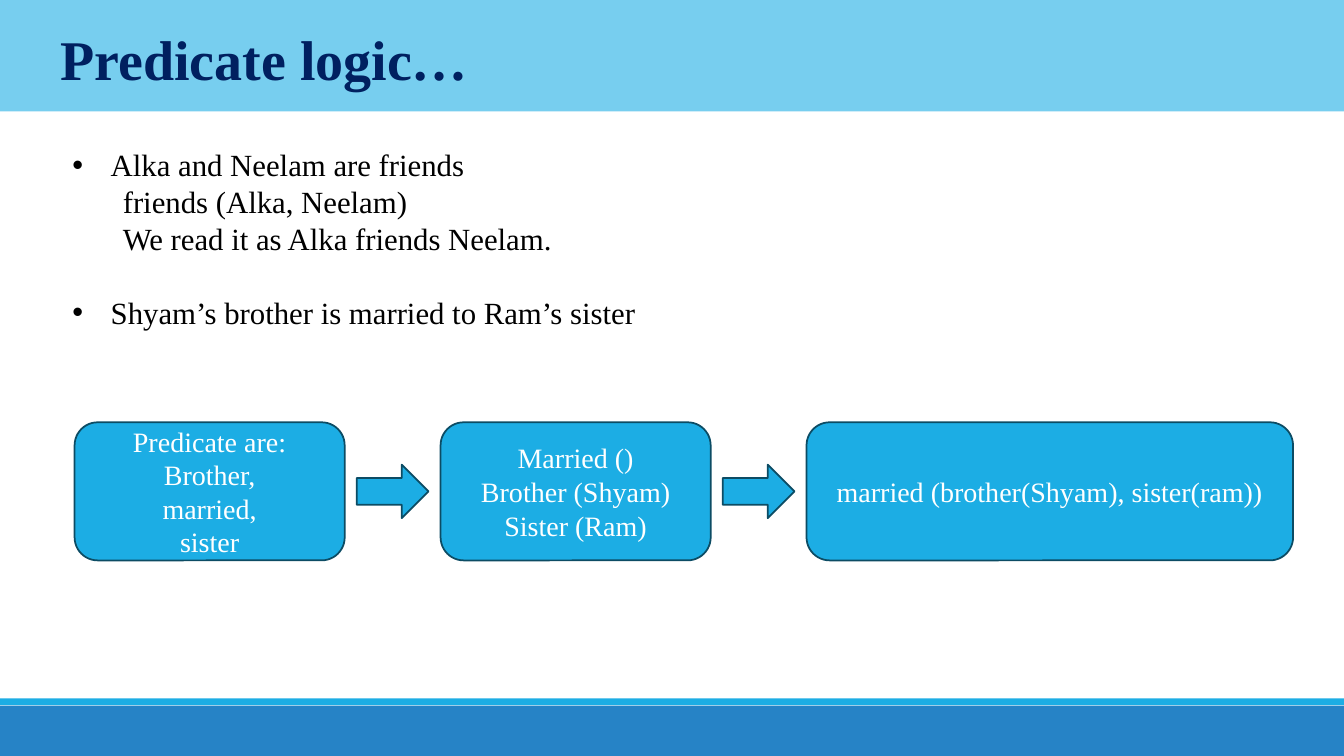
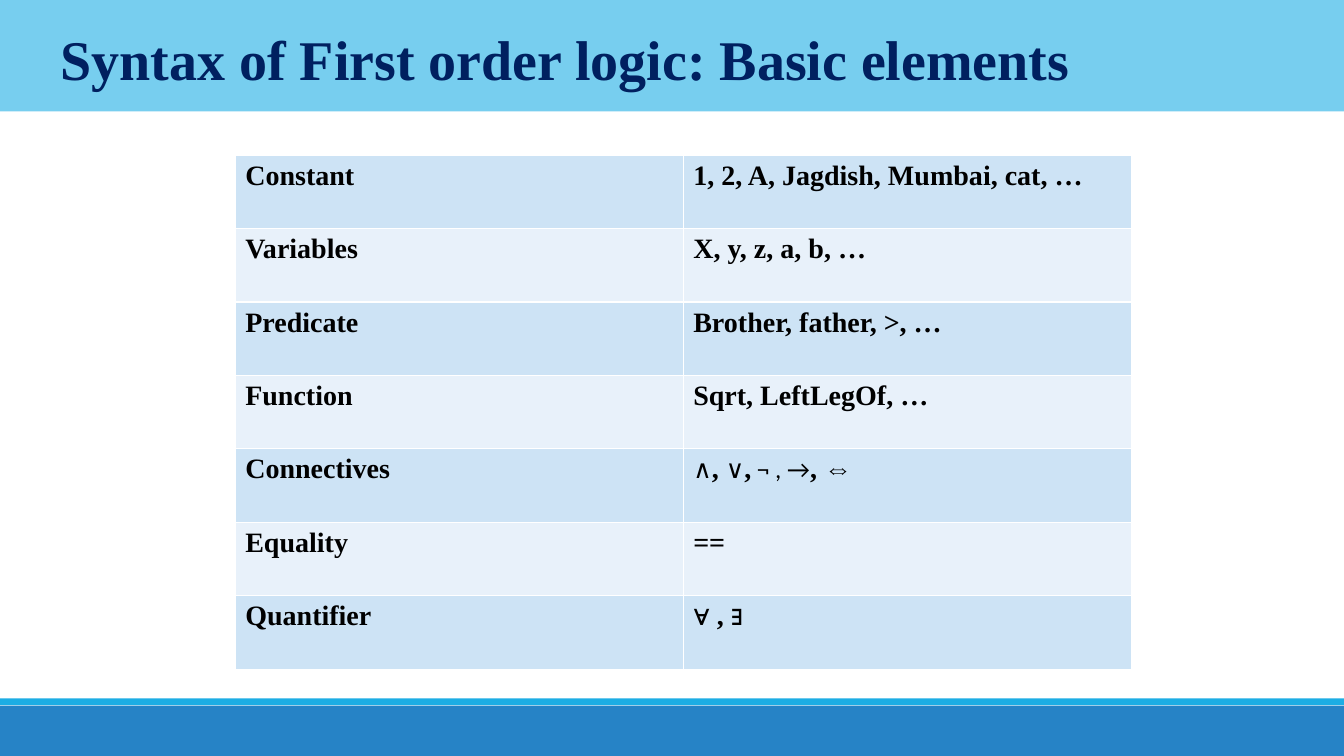
"""Build two slides on predicate logic and the syntax of first order logic."""
from lxml.etree import SubElement
from pptx import Presentation
from pptx.dml.color import RGBColor
from pptx.enum.shapes import MSO_SHAPE
from pptx.enum.text import MSO_ANCHOR, MSO_AUTO_SIZE, PP_ALIGN
from pptx.oxml.ns import qn
from pptx.util import Emu, Inches, Pt

NAVY = RGBColor(0x00, 0x20, 0x60)
SKY = RGBColor(0x77, 0xCE, 0xEF)
CYAN = RGBColor(0x1C, 0xAD, 0xE4)
BLUE = RGBColor(0x26, 0x83, 0xC6)
EDGE = RGBColor(0x0C, 0x4C, 0x64)
DARK = RGBColor(0xCD, 0xE3, 0xF5)
PALE = RGBColor(0xE8, 0xF1, 0xFA)
BLACK = RGBColor(0x00, 0x00, 0x00)
WHITE = RGBColor(0xFF, 0xFF, 0xFF)

SERIF = "Times New Roman"
SANS = "Calibri"


class Deck:
    """Hold the style and the current slide; lengths are percent of its size."""

    def __init__(self):
        self.prs = Presentation()
        self.prs.slide_width = Inches(13.33)
        self.prs.slide_height = Inches(7.5)
        self.slide = None

    def place(self, left, top, width, height):
        wide, high = self.prs.slide_width, self.prs.slide_height
        return [Emu(round(part * full / 100)) for part, full in
                ((left, wide), (top, high), (width, wide), (height, high))]

    def words(self, para, text, size, color, bold=False, font=SERIF):
        run = para.add_run()
        run.text = text
        run.font.name = font
        run.font.size = Pt(size)
        run.font.bold = bold
        run.font.color.rgb = color

    def start(self, title):
        self.slide = self.prs.slides.add_slide(self.prs.slide_layouts[5])
        self.shape(MSO_SHAPE.RECTANGLE, (0, 93.33, 100, 6.67), BLUE)
        self.shape(MSO_SHAPE.RECTANGLE, (0, 92.4, 100, 0.87), CYAN)
        head = self.slide.shapes.title
        head.left, head.top, head.width, head.height = self.place(0, 0, 100, 14.75)
        head.fill.solid()
        head.fill.fore_color.rgb = SKY
        frame = head.text_frame
        frame.auto_size = MSO_AUTO_SIZE.NONE
        frame.vertical_anchor = MSO_ANCHOR.MIDDLE
        frame.margin_left = Inches(0.6)
        frame.margin_top = Inches(0.1)
        para = frame.paragraphs[0]
        para.alignment = PP_ALIGN.LEFT
        self.words(para, title, 40, NAVY, True)

    def shape(self, kind, area, fill, edge=None):
        shape = self.slide.shapes.add_shape(kind, *self.place(*area))
        shape.shadow.inherit = False
        shape.fill.solid()
        shape.fill.fore_color.rgb = fill
        if edge is None:
            shape.line.fill.background()
        else:
            shape.line.color.rgb = edge
            shape.line.width = Pt(1.25)
        return shape

    def box(self, area, lines):
        frame = self.shape(MSO_SHAPE.ROUNDED_RECTANGLE, area, CYAN, EDGE).text_frame
        frame.word_wrap = True
        frame.vertical_anchor = MSO_ANCHOR.MIDDLE
        for i, line in enumerate(lines):
            para = frame.add_paragraph() if i else frame.paragraphs[0]
            para.alignment = PP_ALIGN.CENTER
            self.words(para, line, 20, WHITE)

    def flow(self, left, mid, steps):
        gap, arrow, high, thin = 0.9, 5.33, 18.27, 7.07
        for i, (width, lines) in enumerate(steps):
            if i:
                self.shape(MSO_SHAPE.RIGHT_ARROW,
                           (left, mid - thin / 2, arrow, thin), CYAN, EDGE)
                left += arrow + gap
            self.box((left, mid - high / 2, width, high), lines)
            left += width + gap

    def points(self, area, groups):
        frame = self.slide.shapes.add_textbox(*self.place(*area)).text_frame
        frame.word_wrap = True
        for i, lines in enumerate(groups):
            for j, line in enumerate(lines):
                para = frame.add_paragraph() if i or j else frame.paragraphs[0]
                if i and not j:
                    para.space_before = Pt(26)
                props = para._p.get_or_add_pPr()
                props.set("marL", str(Inches(0.5 if j else 0.38)))
                props.set("indent", str(0 if j else -Inches(0.38)))
                if not j:
                    SubElement(props, qn("a:buFont")).set("typeface", "Arial")
                    SubElement(props, qn("a:buChar")).set("char", "•")
                self.words(para, line, 22, BLACK)

    def table(self, area, rows):
        grid = self.slide.shapes.add_table(
            len(rows), len(rows[0]), *self.place(*area)).table
        grid.first_row = grid.horz_banding = False
        for i, row in enumerate(rows):
            for j, runs in enumerate(row):
                cell = grid.cell(i, j)
                cell.fill.solid()
                cell.fill.fore_color.rgb = PALE if i % 2 else DARK
                para = cell.text_frame.paragraphs[0]
                for k, text in enumerate(runs):
                    if k % 2:
                        self.words(para, text, 20, BLACK, True)
                    elif text:
                        self.words(para, text, 18, BLACK, False, SANS)


def main():
    deck = Deck()

    deck.start("Predicate logic…")
    deck.points((4.65, 18.67, 90.7, 40.8), [
        ["Alka and Neelam are friends",
         "friends (Alka, Neelam)",
         "We read it as Alka friends Neelam."],
        ["Shyam’s brother is married to Ram’s sister"],
    ])
    deck.flow(5.55, 65, [
        (20.1, ["Predicate are:", "Brother,", "married,", "sister"]),
        (20.1, ["Married ()", "Brother (Shyam)", "Sister (Ram)"]),
        (36.2, ["married (brother(Shyam), sister(ram))"]),
    ])

    deck.start("Syntax of First order logic: Basic elements")
    terms = [
        ("Constant", ["", "1, 2, A, Jagdish, Mumbai, cat, …"]),
        ("Variables", ["", "X, y, z, a, b, …"]),
        ("Predicate", ["", "Brother, father, >, …"]),
        ("Function", ["", "Sqrt, LeftLegOf, …"]),
        ("Connectives", ["∧", ", ", "∨", ",", " ¬ , →", ", ⇔"]),
        ("Equality", ["", "=="]),
        ("Quantifier", ["", "∀ , ∃"]),
    ]
    deck.table((17.5, 20.53, 66.67, 68), [(["", name], runs) for name, runs in terms])

    deck.prs.save("out.pptx")


if __name__ == "__main__":
    main()
